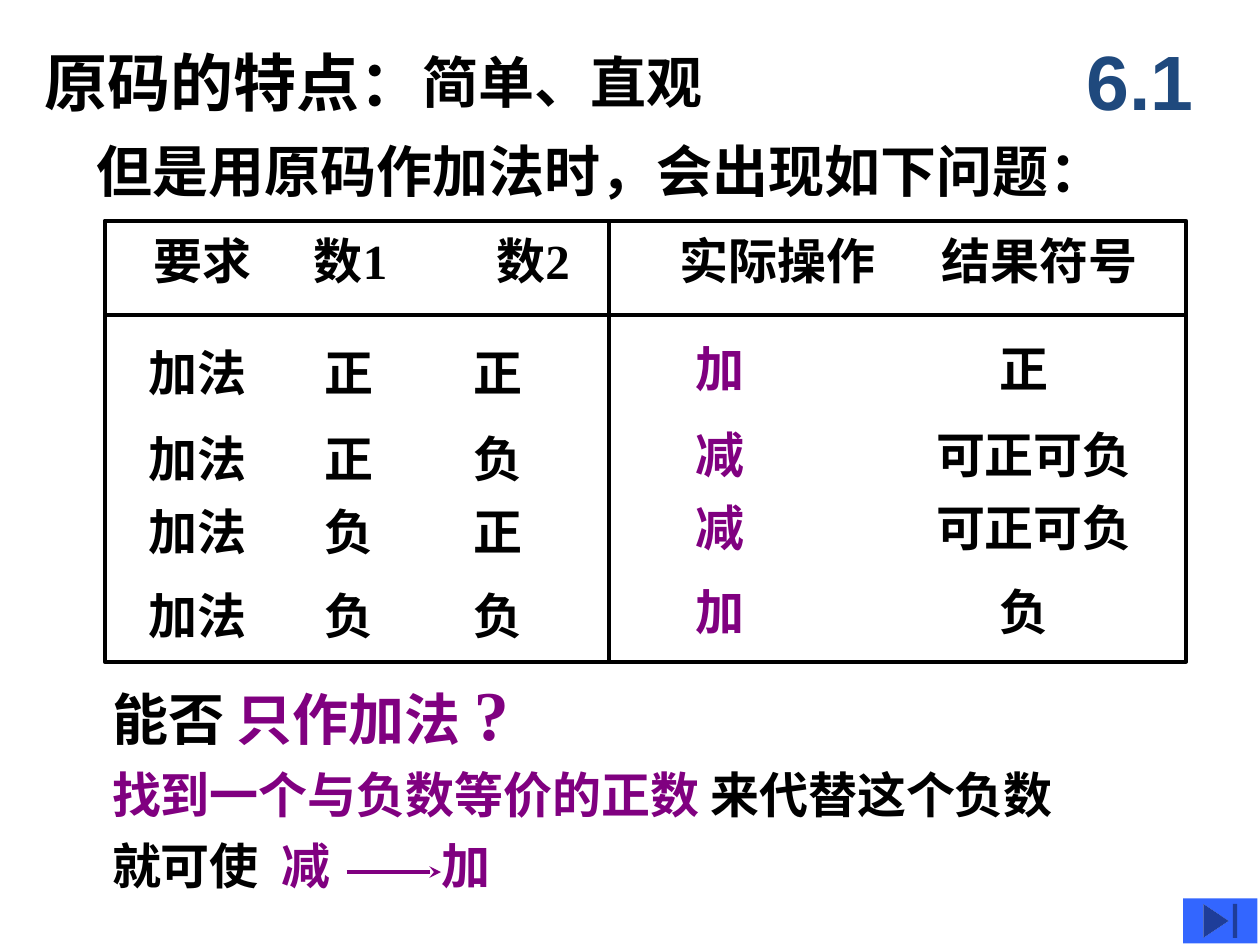
from lxml import etree
from pptx import Presentation
from pptx import util as u
from pptx.dml.color import RGBColor
from pptx.enum import shapes, text
from pptx.oxml.ns import qn

COLORS = {"ink": "000000", "accent": "800080", "number": "1F497D", "button": "3366FF"}


class SlideBuilder:
    """Holds the style and the current slide."""

    def __init__(self, deck):
        self.page = deck.slides.add_slide(deck.slide_layouts[6])
        self.style = {"name": "Times New Roman", "bold": True, "size": u.Pt(28)}
        self.line_width = u.Pt(2.25)

    def color(self, name):
        return RGBColor.from_string(COLORS[name])

    def text(self, place, spans, size=28, wrap=False, tabs=(), frame_format=None, **font):
        """Each span is (words, colour) or (words, colour, size)."""
        box = self.page.shapes.add_textbox(*map(u.Cm, place))
        frame = box.text_frame
        settings = {"word_wrap": wrap, "auto_size": text.MSO_AUTO_SIZE.SHAPE_TO_FIT_TEXT}
        for key, value in {**settings, **(frame_format or {})}.items():
            setattr(frame, key, value)
        para = frame.paragraphs[0]
        if tabs:
            tab_list = etree.SubElement(para._p.get_or_add_pPr(), qn("a:tabLst"))
            for stop in tabs:
                etree.SubElement(tab_list, qn("a:tab"), pos=str(u.Cm(stop)), algn="l")
        for words, color, *own_size in spans:
            span = para.add_run()
            span.text = words
            sizes = {"size": u.Pt(own_size[0] if own_size else size)}
            for key, value in {**self.style, **sizes, **font}.items():
                setattr(span.font, key, value)
            span.font.color.rgb = self.color(color)
        return para

    def shape(self, kind, place, fill=None, line=None):
        shape = self.page.shapes.add_shape(kind, *map(u.Cm, place))
        shape.shadow.inherit = False
        if fill:
            shape.fill.solid()
            shape.fill.fore_color.rgb = self.color(fill)
        else:
            shape.fill.background()
        if line:
            shape.line.color.rgb = self.color(line)
            shape.line.width = self.line_width
        else:
            shape.line.fill.background()

    def line(self, ends, color="ink", arrow=False):
        line = self.page.shapes.add_connector(shapes.MSO_CONNECTOR.STRAIGHT, *map(u.Cm, ends))
        line.line.color.rgb = self.color(color)
        line.line.width = self.line_width
        if arrow:
            etree.SubElement(line.line._get_or_add_ln(), qn("a:tailEnd"), type="stealth")
        etree.SubElement(line._element.spPr, qn("a:effectLst"))


def main():
    deck = Presentation()
    deck.slide_width, deck.slide_height = u.Cm(25.4), u.Cm(19.05)
    slide = SlideBuilder(deck)

    # Heading and section number
    slide.text((0.64, 0.76, 8.15, 1.78), [("原码的特点：", "ink")], 36)
    slide.text((8.26, 0.84, 6.17, 1.6), [("简单、直观", "ink")], 32)
    slide.text((1.7, 2.62, 20.9, 1.6), [("但是用原码作加法时，会出现如下问题：", "ink")], 32)
    number = slide.text(
        (21.39, 0.43, 3.18, 2.34), [("6.1", "number")], 44, wrap=True, name="Arial",
        frame_format={"auto_size": text.MSO_AUTO_SIZE.NONE,
                      "vertical_anchor": text.MSO_ANCHOR.MIDDLE})
    number.alignment = text.PP_ALIGN.CENTER

    # Ruled frame
    left, top, width, height = frame = (2.11, 4.45, 21.8, 8.89)
    header_bottom, divider = 6.35, 12.27
    slide.shape(shapes.MSO_SHAPE.RECTANGLE, frame, line="ink")
    slide.line((left, header_bottom, left + width, header_bottom))
    slide.line((divider, top, divider, top + height))

    # Column headings
    slide.text((2.34, 4.52, 23.06, 1.6), [("要求\t数1\t数2\t实际操作\t结果符号", "ink")],
               wrap=True, tabs=(3.23, 6.91, 10.6, 15.88),
               frame_format={"margin_left": u.Cm(0.76)})

    # Sign cases: top, first number, second number, operation, sign of result
    cases = [
        (6.78, "正", "正", "加", "正"),
        (8.51, "正", "负", "减", "可正可负"),
        (9.98, "负", "正", "减", "可正可负"),
        (11.68, "负", "负", "加", "负"),
    ]
    for row_top, first, second, operation, result in cases:
        slide.text((2.74, row_top, 8.41, 1.45), [(f"加法\t{first}\t{second}", "ink")],
                   wrap=True, tabs=(3.56, 6.55))
        right_top = row_top - 0.08
        slide.text((13.77, right_top, 1.5, 1.45), [(operation, "accent")])
        result_left, result_width = (19.89, 1.5) if len(result) == 1 else (18.62, 4.47)
        slide.text((result_left, right_top, result_width, 1.45), [(result, "ink")])

    # Question and answer
    slide.text((2.01, 13.39, 8.89, 1.96),
               [("能否 ", "ink"), ("只作加法 ", "accent"), ("?", "accent", 40)], 32, wrap=True)
    slide.text((2.01, 15.29, 21.49, 1.45),
               [("找到一个与负数等价的正数 ", "accent"), ("来代替这个负数", "ink")], wrap=True)
    slide.text((2.01, 16.71, 14.71, 1.45),
               [("就可使\t", "ink"), ("减\t加", "accent")], wrap=True, tabs=(3.42, 6.65))
    slide.line((6.99, 17.58, 8.89, 17.58), "accent", arrow=True)

    # Navigation button
    slide.shape(shapes.MSO_SHAPE.ACTION_BUTTON_END, (23.85, 18.11, 1.5, 0.91), fill="button")

    deck.save("out.pptx")


if __name__ == "__main__":
    main()
